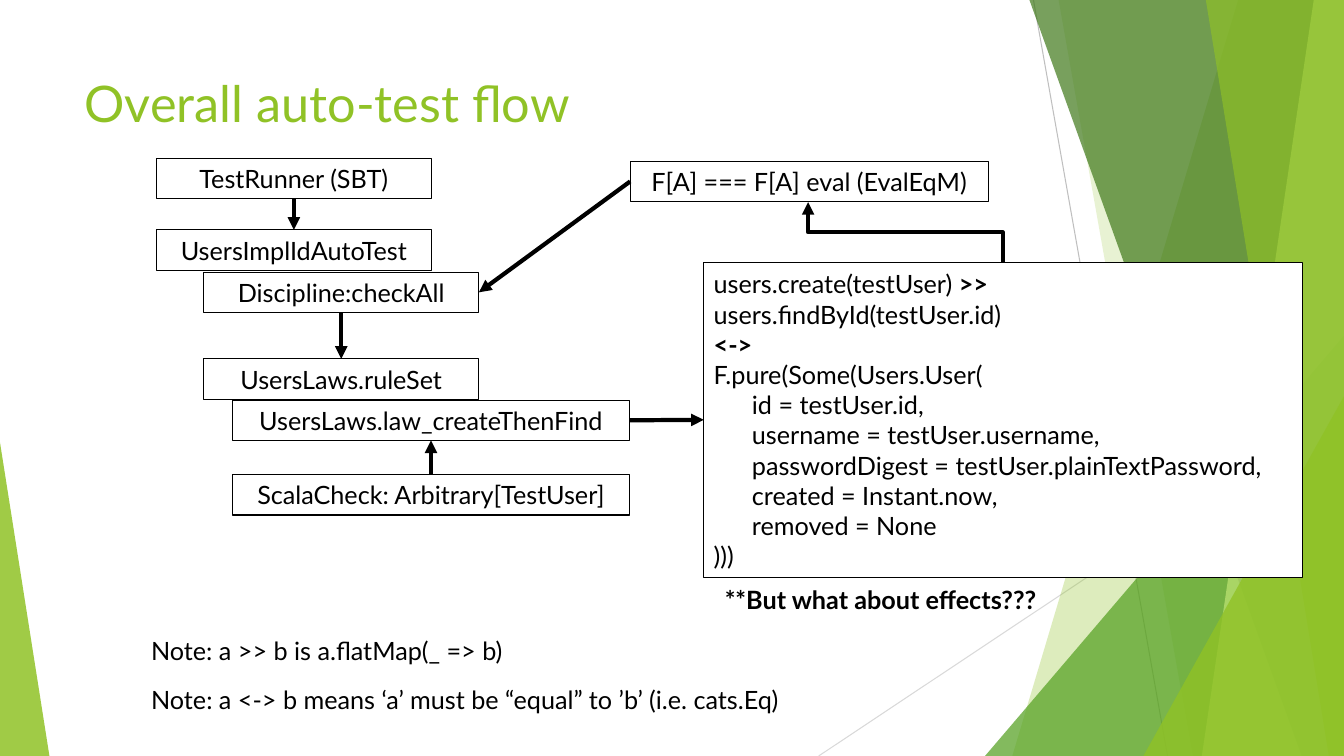
"""Builds the slide on the overall auto-test flow."""
from dataclasses import dataclass
from pptx import Presentation
from pptx.dml.color import RGBColor as Rgb
from pptx.enum.shapes import MSO_CONNECTOR as Wire, MSO_SHAPE as Form
from pptx.enum.text import MSO_ANCHOR as Anchor, PP_ALIGN as Align
from pptx.oxml.ns import qn
from pptx.oxml.xmlchemy import OxmlElement as Node
from pptx.util import Inches, Pt


@dataclass
class Theme:
    font: str = "Lato"
    head: int = 36
    body: int = 18
    ink: str = "000000"
    paper: str = "FFFFFF"
    lime: str = "90C226"
    leaf: str = "54A021"
    moss: str = "3F7819"
    pale: str = "C0E474"
    ray: str = "BFBFBF"
    mist: str = "D9D9D9"


def style(para, size, color, bold=False):
    for run in para.runs:
        run.font.name, run.font.size, run.font.bold = theme.font, Pt(size), bold
        run.font.color.rgb = Rgb.from_string(color)


def link(kind, ends, color, width, arrow=True):
    wire = slide.shapes.add_connector(kind, *map(Inches, ends))
    wire.line.color.rgb = Rgb.from_string(color)
    wire.line.width = Pt(width)
    if arrow:
        tip = Node("a:tailEnd")
        tip.set("type", "triangle")
        wire.line._get_or_add_ln().append(tip)
    wire._element.spPr.append(Node("a:effectLst"))
    return wire


theme = Theme()
deck = Presentation()
deck.slide_width, deck.slide_height = Inches(13.33), Inches(7.5)
slide = deck.slides.add_slide(deck.slide_layouts[5])

link(Wire.STRAIGHT, (10.25, 0, 11.58, 7.5), theme.ray, 0.75, False)
link(Wire.STRAIGHT, (13.33, 4.03, 8.12, 7.5), theme.mist, 0.75, False)

facets = [
    ("band", (12.28, 10.04), theme.lime, 30),
    ("band", (10.5, 11.83), theme.lime, 20),
    ("peak", (9.77, 3.33, 3.56, 4.17, 1), theme.leaf, 72),
    ("band", (10.21, 12.91), theme.moss, 70),
    ("band", (13.03, 11.92), theme.pale, 70),
    ("band", (11.96, 13.18), theme.lime, 65),
    ("peak", (11.34, 3.93, 1.99, 3.57, 1), theme.lime, 80),
    ("peak", (0, 4.39, 0.49, 3.11, 0), theme.lime, 85),
]
for kind, place, color, alpha in facets:
    if kind == "band":
        top, base = map(Inches, place)
        pen = slide.shapes.build_freeform(top, 0)
        right, foot = deck.slide_width, deck.slide_height
        pen.add_line_segments([(right, 0), (right, foot), (base, foot)])
        facet = pen.convert_to_shape()
    else:
        facet = slide.shapes.add_shape(Form.ISOSCELES_TRIANGLE, *map(Inches, place[:4]))
        facet.adjustments[0] = place[4]
    facet.shadow.inherit = False
    facet.line.fill.background()
    facet.fill.solid()
    facet.fill.fore_color.rgb = Rgb.from_string(color)
    glass = Node("a:alpha")
    glass.set("val", str(alpha * 1000))
    facet._element.spPr.find(".//" + qn("a:srgbClr")).append(glass)

title = slide.shapes.title
title.left, title.top, title.width, title.height = map(Inches, (0.74, 0.67, 9.4, 0.91))
title.text_frame.text = "Overall auto-test flow"
title.text_frame.vertical_anchor = Anchor.TOP
title.text_frame.paragraphs[0].alignment = Align.LEFT
style(title.text_frame.paragraphs[0], theme.head, theme.lime)

code = """users.create(testUser) >>
users.findById(testUser.id)
<->
F.pure(Some(Users.User(
\tid = testUser.id,
\tusername = testUser.username,
\tpasswordDigest = testUser.plainTextPassword,
\tcreated = Instant.now,
\tremoved = None
)))"""
steps = {
    "runner": (1.55, 1.57, 2.73, 0.4, "TestRunner (SBT)"),
    "test": (1.55, 2.28, 2.73, 0.4, "UsersImplIdAutoTest"),
    "check": (2.02, 2.7, 2.73, 0.4, "Discipline:checkAll"),
    "rules": (2.02, 3.56, 2.73, 0.4, "UsersLaws.ruleSet"),
    "law": (2.31, 3.97, 3.93, 0.4, "UsersLaws.law_createThenFind"),
    "gen": (2.31, 4.71, 3.93, 0.4, "ScalaCheck: Arbitrary[TestUser]"),
    "eval": (6.25, 1.6, 3.55, 0.4, "F[A] === F[A] eval (EvalEqM)"),
    "code": (6.98, 2.6, 5.94, 3.13, code),
}
boxes = {}
for name, (*place, text) in steps.items():
    box = boxes[name] = slide.shapes.add_shape(Form.RECTANGLE, *map(Inches, place))
    box.shadow.inherit = False
    box.fill.background()
    box.line.color.rgb = Rgb.from_string(theme.ink)
    box.line.width = Pt(0.75)
    frame = box.text_frame
    frame.vertical_anchor = Anchor.MIDDLE
    frame.text = text
    for para in frame.paragraphs:
        para.alignment = Align.LEFT if name == "code" else Align.CENTER
        if para.text.startswith("\t"):
            para.text = para.text.strip()
            para._p.get_or_add_pPr().set("marL", str(Inches(0.38)))
        style(para, theme.body, theme.ink, para.text == "<->")

boxes["code"].fill.solid()
boxes["code"].fill.fore_color.rgb = Rgb.from_string(theme.paper)
first = boxes["code"].text_frame.paragraphs[0]
first.text = "users.create(testUser) "
first.add_run().text = ">>"
style(first, theme.body, theme.ink)
first.runs[1].font.bold = True

top, left, base, right = range(4)
flows = [
    ("runner", base, "test", top),
    ("check", base, "rules", top),
    ("gen", top, "law", base),
    ("law", right, "code", left),
    ("eval", left, "check", right),
]
for start, out, end, into in flows:
    wire = link(Wire.STRAIGHT, (0, 0, 1, 1), theme.ink, 3)
    wire.begin_connect(boxes[start], out)
    wire.end_connect(boxes[end], into)
bend = link(Wire.ELBOW, (8.68, 3.27, 9.28, 1.34), theme.ink, 3)
bend._element.spPr.find(qn("a:xfrm")).set("rot", str(270 * 60000))

notes = [
    (1.4, 6.25, 3.87, "Note: a >> b is a.flatMap(_ => b)", False),
    (1.4, 6.74, 7.08, "Note: a <-> b means ‘a’ must be “equal” to ’b’ (i.e. cats.Eq)", False),
    (7.09, 5.75, 3.45, "**But what about effects???", True),
]
for x, y, width, text, bold in notes:
    note = slide.shapes.add_textbox(*map(Inches, (x, y, width, 0.4)))
    note.text_frame.text = text
    style(note.text_frame.paragraphs[0], theme.body, theme.ink, bold)

deck.save("out.pptx")
